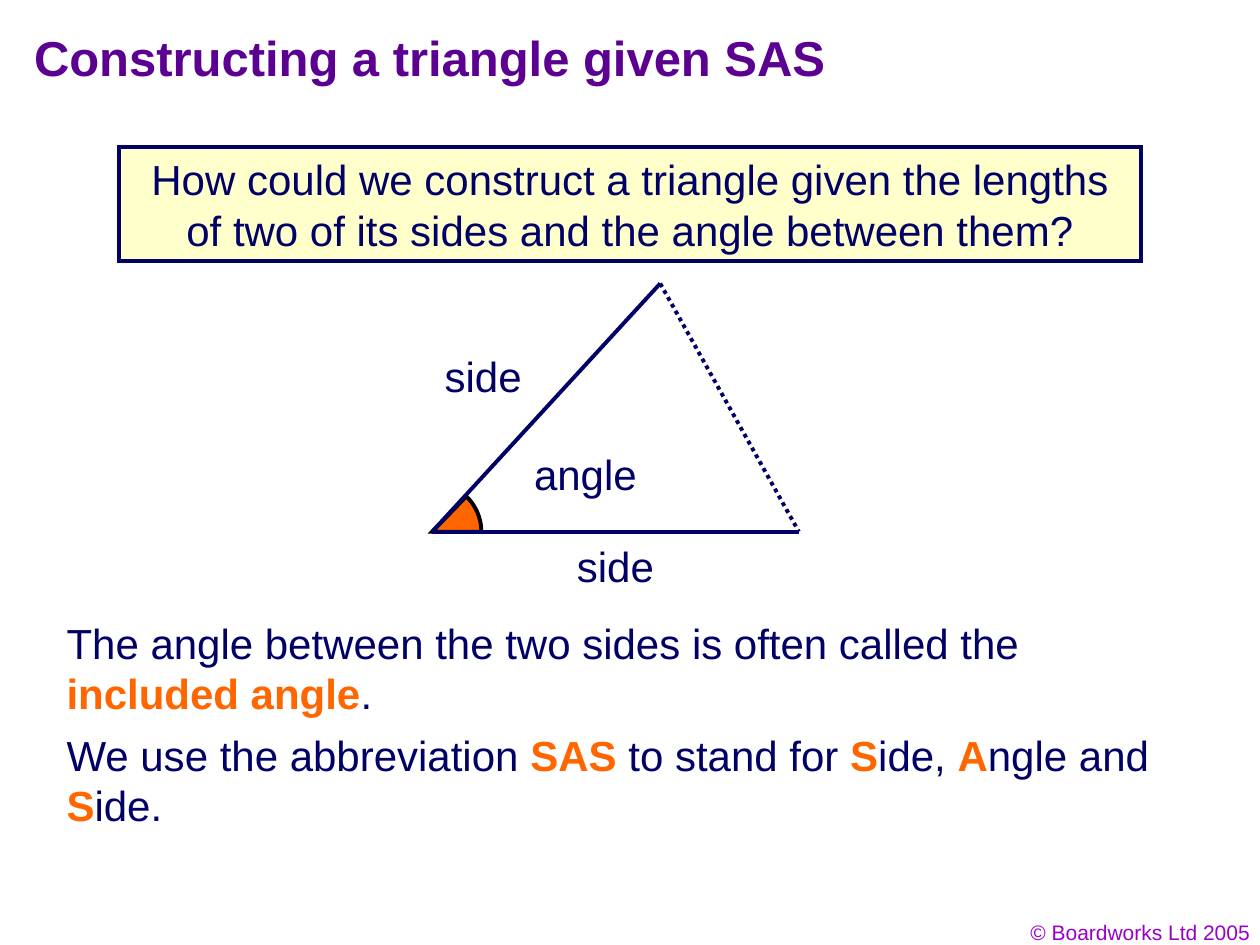
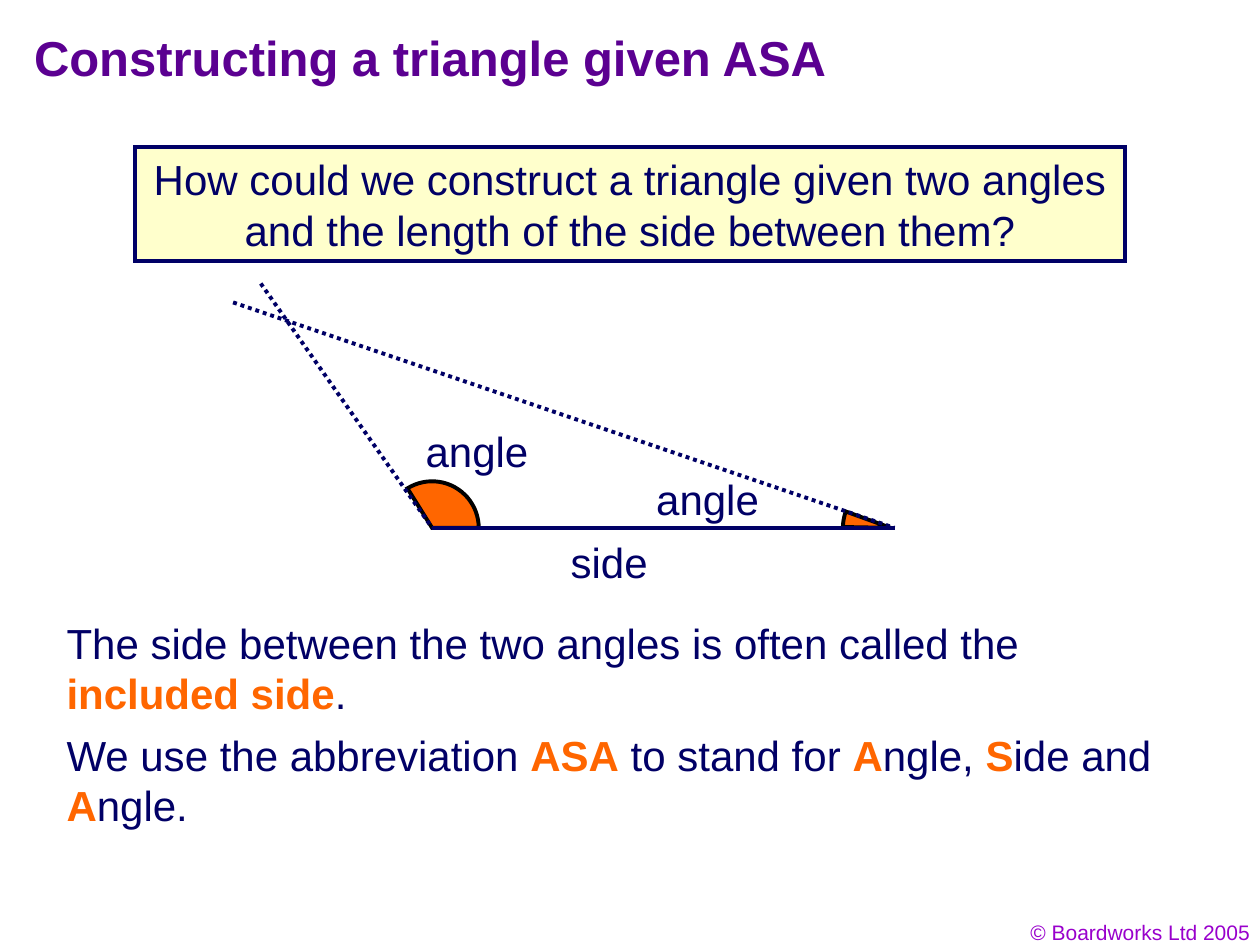
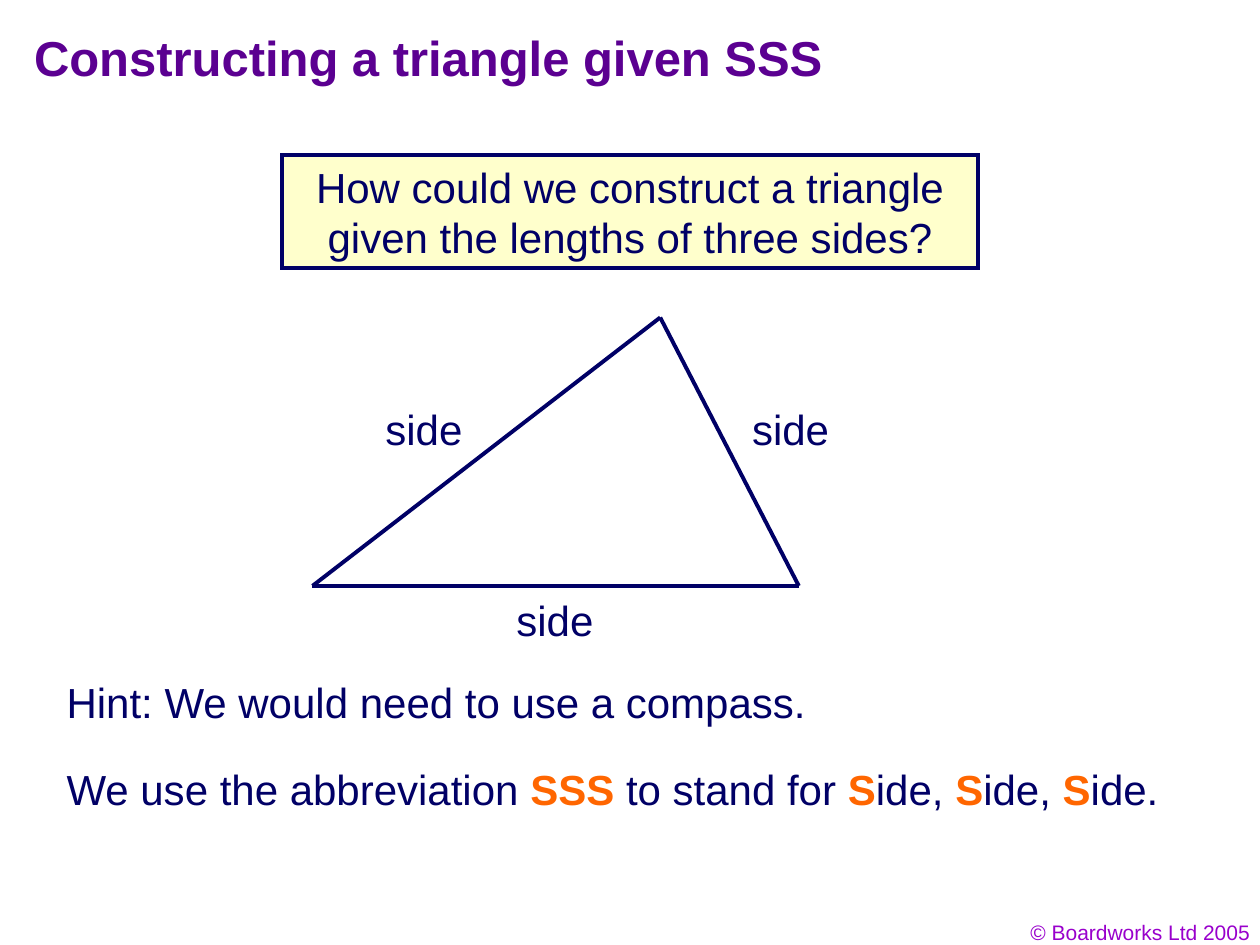
import math

from lxml import etree
from pptx import Presentation
from pptx import util as u
from pptx.dml.color import RGBColor
from pptx.enum import dml, shapes, text
from pptx.oxml.ns import qn

# Shared look
NAVY = "000066"
INK = "010066"
ORANGE = "FF6600"
LINE_WIDTH = 2.25
BODY = {"name": "Arial", "size": u.Pt(24), "bold": False}
KEY_WORD = {**BODY, "bold": True}
TITLE = {**KEY_WORD, "size": u.Pt(28)}
FOOTER = {**BODY, "size": u.Pt(12)}


def colour(hex_string):
    return RGBColor.from_string(hex_string)


def format_font(font, values, hex_string):
    for name, value in values.items():
        setattr(font, name, value)
    font.color.rgb = colour(hex_string)


def format_line(shape, hex_string):
    """Solid line with sharp corners."""
    shape.line.color.rgb = colour(hex_string)
    shape.line.width = u.Pt(LINE_WIDTH)
    outline = shape.element.spPr.find(qn("a:ln"))
    etree.SubElement(outline, qn("a:miter"), lim="800000")


def place(shape, *box):
    for name, value in zip(("left", "top", "width", "height"), box):
        setattr(shape, name, u.Inches(value))


def write(shape, content, values=BODY, hex_string=INK, align=text.PP_ALIGN.LEFT):
    """Write one paragraph; parts between asterisks are key words."""
    paragraph = shape.text_frame.paragraphs[0]
    paragraph.alignment = align
    for index, part in enumerate(content.split("*")):
        if part:
            run = paragraph.add_run()
            run.text = part
            if index % 2:
                format_font(run.font, KEY_WORD, ORANGE)
            else:
                format_font(run.font, values, hex_string)


def add_text(slide, content, left, top, width, height, wrap=True, **style):
    box = slide.shapes.add_textbox(*map(u.Inches, (left, top, width, height)))
    box.text_frame.word_wrap = wrap
    box.text_frame.auto_size = text.MSO_AUTO_SIZE.SHAPE_TO_FIT_TEXT
    write(box, content, **style)
    return box


def add_label(slide, content, left, top):
    width = {"side": 0.82, "angle": 1.03}[content]
    add_text(slide, content, left, top, width, 0.5, wrap=False)


def add_question(slide, content, top, width):
    """Framed question, centred across the slide."""
    frame = slide.shapes.add_shape(
        shapes.MSO_SHAPE.RECTANGLE,
        *map(u.Inches, (5 - width / 2, top, width, 0.9)))
    frame.shadow.inherit = False
    frame.fill.solid()
    frame.fill.fore_color.rgb = colour("FFFFCC")
    format_line(frame, NAVY)
    frame.text_frame.word_wrap = True
    write(frame, content, align=text.PP_ALIGN.CENTER)


def add_side(slide, start, end, dotted=False):
    side = slide.shapes.add_connector(
        shapes.MSO_CONNECTOR.STRAIGHT, *map(u.Inches, (*start, *end)))
    format_line(side, NAVY)
    if dotted:
        side.line.dash_style = dml.MSO_LINE.ROUND_DOT
    etree.SubElement(side.element.spPr, qn("a:effectLst"))


def add_angle(slide, vertex, radius, first, last, steps=24):
    """Filled sector at a vertex, between two directions in degrees."""
    points = []
    for step in range(steps + 1):
        turn = math.radians(first + (last - first) * step / steps)
        points.append((u.Inches(vertex[0] + radius * math.cos(turn)),
                       u.Inches(vertex[1] - radius * math.sin(turn))))
    builder = slide.shapes.build_freeform(*map(u.Inches, vertex))
    builder.add_line_segments(points, close=True)
    sector = builder.convert_to_shape()
    sector.shadow.inherit = False
    sector.fill.solid()
    sector.fill.fore_color.rgb = colour(ORANGE)
    format_line(sector, "000000")


def add_slide(presentation, abbreviation):
    slide = presentation.slides.add_slide(presentation.slide_layouts[5])
    title = slide.shapes.title
    place(title, 0.17, 0.17, 8.5, 0.67)
    title.text_frame.vertical_anchor = text.MSO_ANCHOR.TOP
    write(title, f"Constructing a triangle given {abbreviation}", TITLE, "5B0091")
    return slide


def move_footer_to_layout(slide):
    """Every slide of the layout then shows the footer."""
    footer = add_text(slide, "© Boardworks Ltd 2005", 7.69, 7.25, 2.33, 0.3,
                      values=FOOTER, hex_string="9900CC",
                      align=text.PP_ALIGN.RIGHT)
    slide.slide_layout.shapes.element.append(footer.element)


def add_explanations(slide, explanations):
    for top, height, content in explanations:
        add_text(slide, content, 0.43, top, 9.16, height)


def build_sas(presentation):
    slide = add_slide(presentation, "SAS")
    move_footer_to_layout(slide)
    add_question(slide, "How could we construct a triangle given the lengths "
                 "of two of its sides and the angle between them?", 1.17, 8.11)
    vertex, apex, right = (3.43, 4.22), (5.24, 2.25), (6.34, 4.22)
    add_angle(slide, vertex, 0.39, 0, 46)
    add_side(slide, apex, vertex)
    add_side(slide, vertex, right)
    add_side(slide, apex, right, dotted=True)
    add_label(slide, "side", 4.48, 4.24)
    add_label(slide, "side", 3.43, 2.73)
    add_label(slide, "angle", 4.14, 3.51)
    add_explanations(slide, [
        (4.85, 0.9, "The angle between the two sides is often called the "
                    "*included angle*."),
        (5.74, 0.9, "We use the abbreviation *SAS* to stand for "
                    "*S*ide, *A*ngle and *S*ide."),
    ])


def build_asa(presentation):
    slide = add_slide(presentation, "ASA")
    add_question(slide, "How could we construct a triangle given two angles "
                 "and the length of the side between them?", 1.17, 7.86)
    left, right = (3.43, 4.19), (7.1, 4.19)
    add_angle(slide, (7.07, 4.19), 0.38, 160, 179)
    add_angle(slide, left, 0.37, 0, 122)
    add_side(slide, (2.07, 2.25), left, dotted=True)
    add_side(slide, left, right)
    add_side(slide, (1.85, 2.4), right, dotted=True)
    add_label(slide, "side", 4.43, 4.21)
    add_label(slide, "angle", 3.28, 3.33)
    add_label(slide, "angle", 5.11, 3.71)
    add_explanations(slide, [
        (4.85, 0.9, "The side between the two angles is often called the "
                    "*included side*."),
        (5.74, 0.9, "We use the abbreviation *ASA* to stand for "
                    "*A*ngle, *S*ide and *A*ngle."),
    ])


def build_sss(presentation):
    slide = add_slide(presentation, "SSS")
    add_question(slide, "How could we construct a triangle given the lengths "
                 "of three sides?", 1.23, 5.52)
    corners = [(2.48, 4.65), (5.24, 2.52), (6.34, 4.65)]
    for start, end in zip(corners, corners[1:] + corners[:1]):
        add_side(slide, start, end)
    for left, top in [(4, 4.67), (2.96, 3.15), (5.87, 3.15)]:
        add_label(slide, "side", left, top)
    add_explanations(slide, [
        (5.32, 0.5, "Hint: We would need to use a compass."),
        (6.01, 0.5, "We use the abbreviation *SSS* to stand for "
                    "*S*ide, *S*ide, *S*ide."),
    ])


def main():
    presentation = Presentation()
    presentation.slide_width = u.Inches(10)
    presentation.slide_height = u.Inches(7.5)
    build_sas(presentation)
    build_asa(presentation)
    build_sss(presentation)
    presentation.save("out.pptx")


if __name__ == "__main__":
    main()
